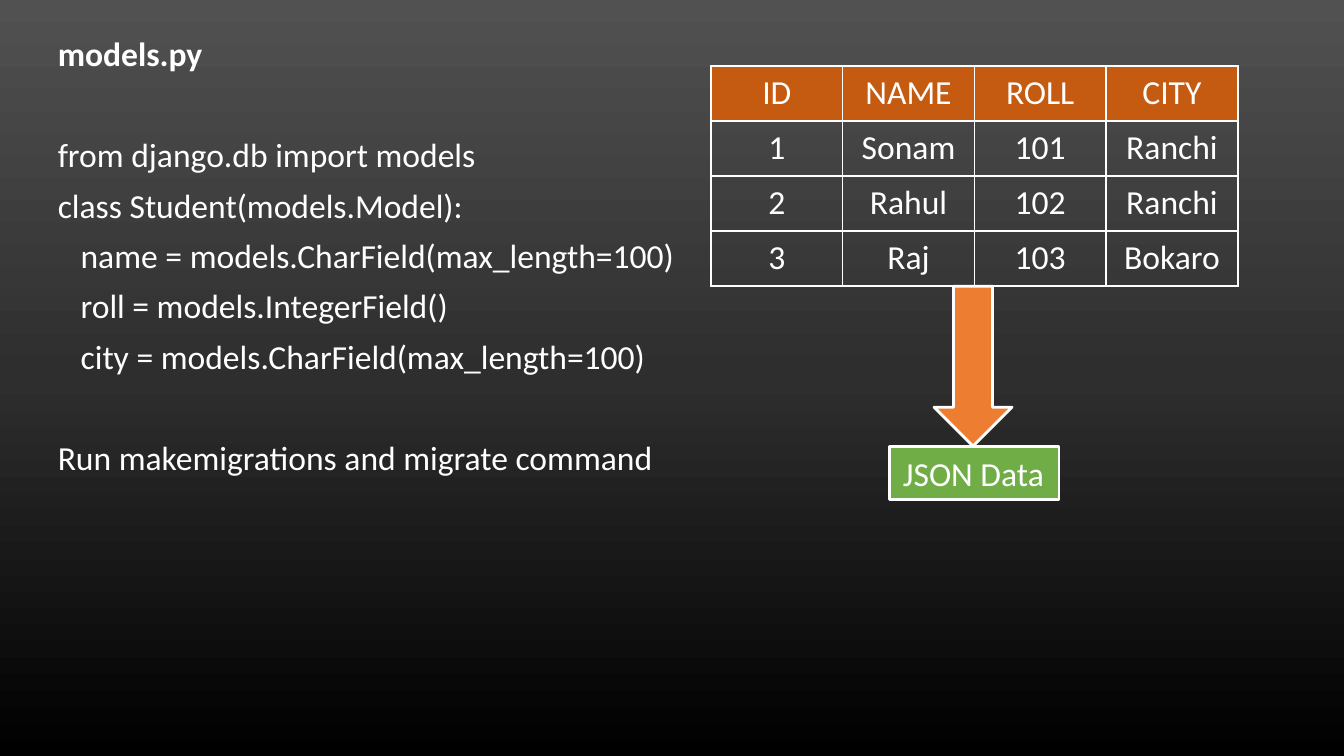
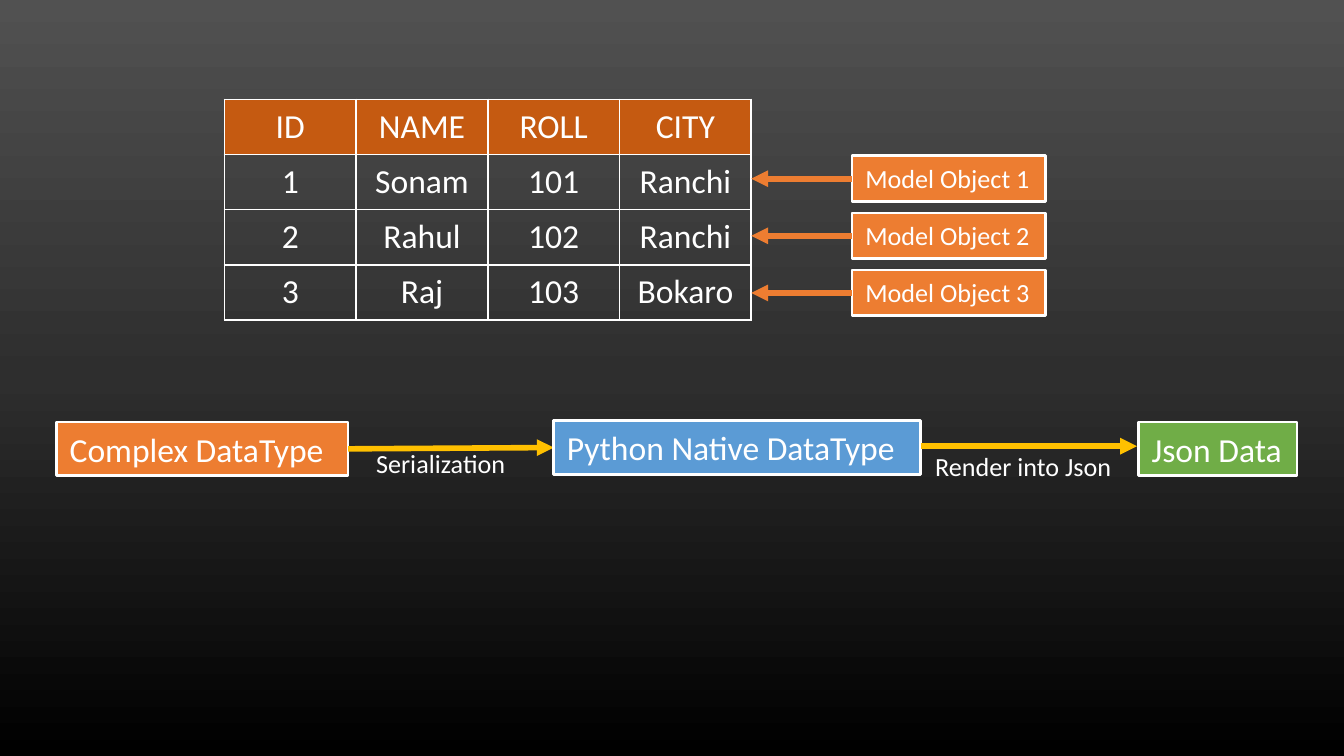
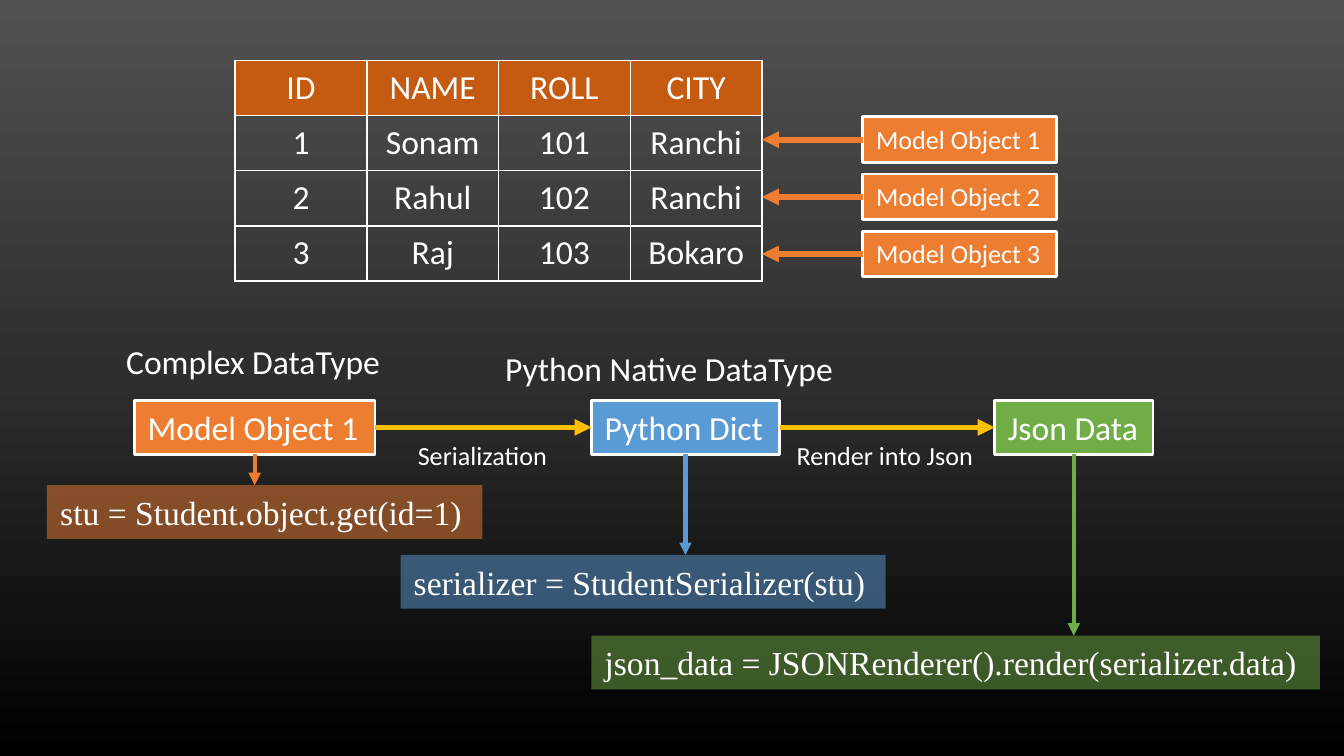
import copy
from dataclasses import dataclass

import lxml.etree
import pptx
import pptx.dml.color
import pptx.enum.shapes
import pptx.enum.text
import pptx.oxml.ns
import pptx.util

Inches = pptx.util.Inches
Pt = pptx.util.Pt
qn = pptx.oxml.ns.qn
SHAPES = pptx.enum.shapes.MSO_SHAPE
ALIGN = pptx.enum.text.PP_ALIGN
ANCHOR = pptx.enum.text.MSO_ANCHOR
AUTO_SIZE = pptx.enum.text.MSO_AUTO_SIZE


@dataclass(frozen=True)
class Theme:
    background: tuple = ("515151", "2E2E2E", "000000")
    white: str = "FFFFFF"
    header: str = "C55A11"
    orange: str = "ED7D31"
    blue: str = "5B9BD5"
    green: str = "70AD47"
    gold: str = "FFC000"
    font: str = "Calibri"
    code_font: str = "Times New Roman"
    body: int = 18
    small: int = 14


THEME = Theme()

STUDENTS = [
    ("ID", "NAME", "ROLL", "CITY"),
    ("1", "Sonam", "101", "Ranchi"),
    ("2", "Rahul", "102", "Ranchi"),
    ("3", "Raj", "103", "Bokaro"),
]
COLUMN_WIDTH = 0.98
ROW_HEIGHT = 0.41
BOX_HEIGHT = 0.4
SMALL_BOX_HEIGHT = 0.34

MODEL_LINES = [
    ("models.py", 0, False),
    ("from django.db import models", 0, True),
    ("class Student(models.Model):", 0, False),
    ("name = models.CharField(max_length=100)", 0.17, False),
    ("roll = models.IntegerField()", 0.17, False),
    ("city = models.CharField(max_length=100)", 0.17, False),
    ("Run makemigrations and migrate command", 0, True),
]


def rgb(value):
    return pptx.dml.color.RGBColor.from_string(value)


def format_runs(para, size=THEME.body, font=THEME.font, bold=False):
    for span in para.runs:
        span.font.size = Pt(size)
        span.font.name = font
        span.font.bold = bold
        span.font.color.rgb = rgb(THEME.white)


def set_background(deck):
    fill = deck.slide_master.background.fill
    fill.gradient()
    fill.gradient_angle = 270
    stop_list = deck.slide_master.element.xpath(".//p:bg//a:gsLst")[0]
    stop_list.append(copy.deepcopy(stop_list[-1]))
    for index, (stop, color) in enumerate(zip(fill.gradient_stops, THEME.background)):
        stop.position = index / 2
        stop.color.rgb = rgb(color)


def add_page(deck, layout_name):
    return deck.slides.add_slide(deck.slide_layouts.get_by_name(layout_name))


def write_text(box, text, size, font):
    frame = box.text_frame
    frame.text = text
    frame.word_wrap = True
    frame.auto_size = AUTO_SIZE.NONE
    frame.vertical_anchor = ANCHOR.TOP
    frame.margin_right = 0
    frame.paragraphs[0].alignment = ALIGN.LEFT
    format_runs(frame.paragraphs[0], size, font)


def add_label(page, text, left, top, width, size=THEME.body):
    height = BOX_HEIGHT if size == THEME.body else SMALL_BOX_HEIGHT
    label = page.shapes.add_textbox(Inches(left), Inches(top), Inches(width), Inches(height))
    write_text(label, text, size, THEME.font)


def add_filled_shape(page, kind, left, top, width, height, color):
    shape = page.shapes.add_shape(kind, Inches(left), Inches(top), Inches(width), Inches(height))
    shape.shadow.inherit = False
    shape.fill.solid()
    shape.fill.fore_color.rgb = rgb(color)
    shape.line.color.rgb = rgb(THEME.white)
    shape.line.width = Pt(1.5)
    return shape


def add_box(page, text, left, top, width, color, size=THEME.body):
    height = BOX_HEIGHT if size == THEME.body else SMALL_BOX_HEIGHT
    box = add_filled_shape(page, SHAPES.RECTANGLE, left, top, width, height, color)
    write_text(box, text, size, THEME.font)


def add_code_box(page, text, left, top, width, color):
    box = add_filled_shape(page, SHAPES.RECTANGLE, left, top, width, BOX_HEIGHT, color)
    box.line.fill.background()
    color_element = box.element.spPr.find(qn("a:solidFill"))[0]
    lxml.etree.SubElement(color_element, qn("a:alpha"), val="50000")
    write_text(box, text, THEME.body, THEME.code_font)


def add_arrow(page, start, end, color, width=3):
    arrow = page.shapes.add_connector(
        pptx.enum.shapes.MSO_CONNECTOR.STRAIGHT,
        *(Inches(value) for value in (*start, *end)))
    arrow.line.color.rgb = rgb(color)
    arrow.line.width = Pt(width)
    properties = arrow.element.spPr
    lxml.etree.SubElement(properties.find(qn("a:ln")), qn("a:tailEnd"), type="triangle")
    lxml.etree.SubElement(properties, qn("a:effectLst"))


def add_cell_borders(cell):
    properties = cell._tc.get_or_add_tcPr()
    for index, side in enumerate(("lnL", "lnR", "lnT", "lnB")):
        line = lxml.etree.Element(qn("a:" + side), w=str(Pt(1)))
        fill = lxml.etree.SubElement(line, qn("a:solidFill"))
        lxml.etree.SubElement(fill, qn("a:srgbClr"), val=THEME.white)
        properties.insert(index, line)


def add_student_table(page, left, top):
    rows, columns = len(STUDENTS), len(STUDENTS[0])
    table = page.shapes.add_table(
        rows, columns, Inches(left), Inches(top),
        Inches(COLUMN_WIDTH * columns), Inches(ROW_HEIGHT * rows)).table
    table.first_row = False
    table.horz_banding = False
    for row, record in enumerate(STUDENTS):
        for column, value in enumerate(record):
            cell = table.cell(row, column)
            cell.text = value
            para = cell.text_frame.paragraphs[0]
            para.alignment = ALIGN.CENTER
            format_runs(para)
            if row == 0:
                cell.fill.solid()
                cell.fill.fore_color.rgb = rgb(THEME.header)
            else:
                cell.fill.background()
            add_cell_borders(cell)


def add_table_with_objects(page, left, top):
    add_student_table(page, left, top)
    table_right = left + COLUMN_WIDTH * len(STUDENTS[0])
    box_left = table_right + 0.75
    for index in range(len(STUDENTS) - 1):
        box_top = top + 0.42 + 0.425 * index
        middle = box_top + SMALL_BOX_HEIGHT / 2
        add_box(page, f"Model Object {index + 1}", box_left, box_top, 1.44,
                THEME.orange, THEME.small)
        add_arrow(page, (box_left, middle), (table_right, middle), THEME.orange)


def add_model_code(page):
    page.shapes.title.element.getparent().remove(page.shapes.title.element)
    body = page.placeholders[1]
    body.left, body.top = Inches(0.33), Inches(0.23)
    body.width, body.height = Inches(4.81), Inches(4.92)
    frame = body.text_frame
    frame.auto_size = AUTO_SIZE.NONE
    frame.vertical_anchor = ANCHOR.TOP
    frame.text = "\n".join(text for text, indent, gap in MODEL_LINES)
    for index, (para, (text, indent, gap)) in enumerate(zip(frame.paragraphs, MODEL_LINES)):
        para.line_spacing = 0.9
        para.space_before = Pt(34.8 if gap else 7.5)
        properties = para._p.get_or_add_pPr()
        properties.set("marL", str(Inches(indent)))
        properties.set("indent", "0")
        lxml.etree.SubElement(properties, qn("a:buNone"))
        format_runs(para, bold=index == 0)


def build_model_page(deck):
    page = add_page(deck, "Title and Content")
    add_model_code(page)
    add_student_table(page, 5.29, 0.49)
    add_filled_shape(page, SHAPES.DOWN_ARROW, 6.95, 2.13, 0.58, 1.19, THEME.orange)
    add_box(page, "JSON Data", 6.62, 3.32, 1.26, THEME.green)


def build_serialization_page(deck):
    page = add_page(deck, "Blank")
    add_table_with_objects(page, 1.67, 0.74)
    add_box(page, "Complex DataType", 0.42, 3.14, 2.17, THEME.orange)
    add_arrow(page, (2.59, 3.34), (4.12, 3.33), THEME.gold)
    add_box(page, "Python Native DataType", 4.12, 3.13, 2.73, THEME.blue)
    add_box(page, "Json Data", 8.47, 3.14, 1.18, THEME.green)
    add_label(page, "Serialization", 2.7, 3.28, 1.18, THEME.small)
    add_label(page, "Render into Json", 6.86, 3.3, 1.53, THEME.small)
    add_arrow(page, (6.85, 3.32), (8.46, 3.32), THEME.gold)


def build_example_page(deck):
    page = add_page(deck, "Blank")
    add_table_with_objects(page, 1.75, 0.45)
    box_top = 2.98
    middle = box_top + BOX_HEIGHT / 2
    bottom = box_top + BOX_HEIGHT
    steps = [
        ("Model Object 1", 1, 1.79, THEME.orange,
         "stu = Student.object.get(id=1)", 0.35, 3.61, 3.24),
        ("Python Dict", 4.4, 1.4, THEME.blue,
         "serializer = StudentSerializer(stu)", 2.98, 4.13, 3.61),
        ("Json Data", 7.4, 1.18, THEME.green,
         "json_data = JSONRenderer().render(serializer.data)", 4.4, 4.73, 5.42),
    ]
    for text, left, width, color, code, code_left, code_top, code_width in steps:
        center = left + width / 2
        add_box(page, text, left, box_top, width, color)
        add_code_box(page, code, code_left, code_top, code_width, color)
        add_arrow(page, (center, bottom), (center, code_top), color, 2.25)
    for step, following in zip(steps, steps[1:]):
        add_arrow(page, (step[1] + step[2], middle), (following[1], middle), THEME.gold)
    add_label(page, "Serialization", 3.01, 3.22, 1.18, THEME.small)
    add_label(page, "Render into Json", 5.83, 3.22, 1.53, THEME.small)
    add_label(page, "Complex DataType", 0.84, 2.49, 2.11)
    add_label(page, "Python Native DataType", 3.66, 2.54, 2.67)


def main():
    deck = pptx.Presentation()
    deck.slide_width = Inches(10)
    deck.slide_height = deck.slide_width * 9 // 16
    set_background(deck)
    build_model_page(deck)
    build_serialization_page(deck)
    build_example_page(deck)
    deck.save("out.pptx")


main()
